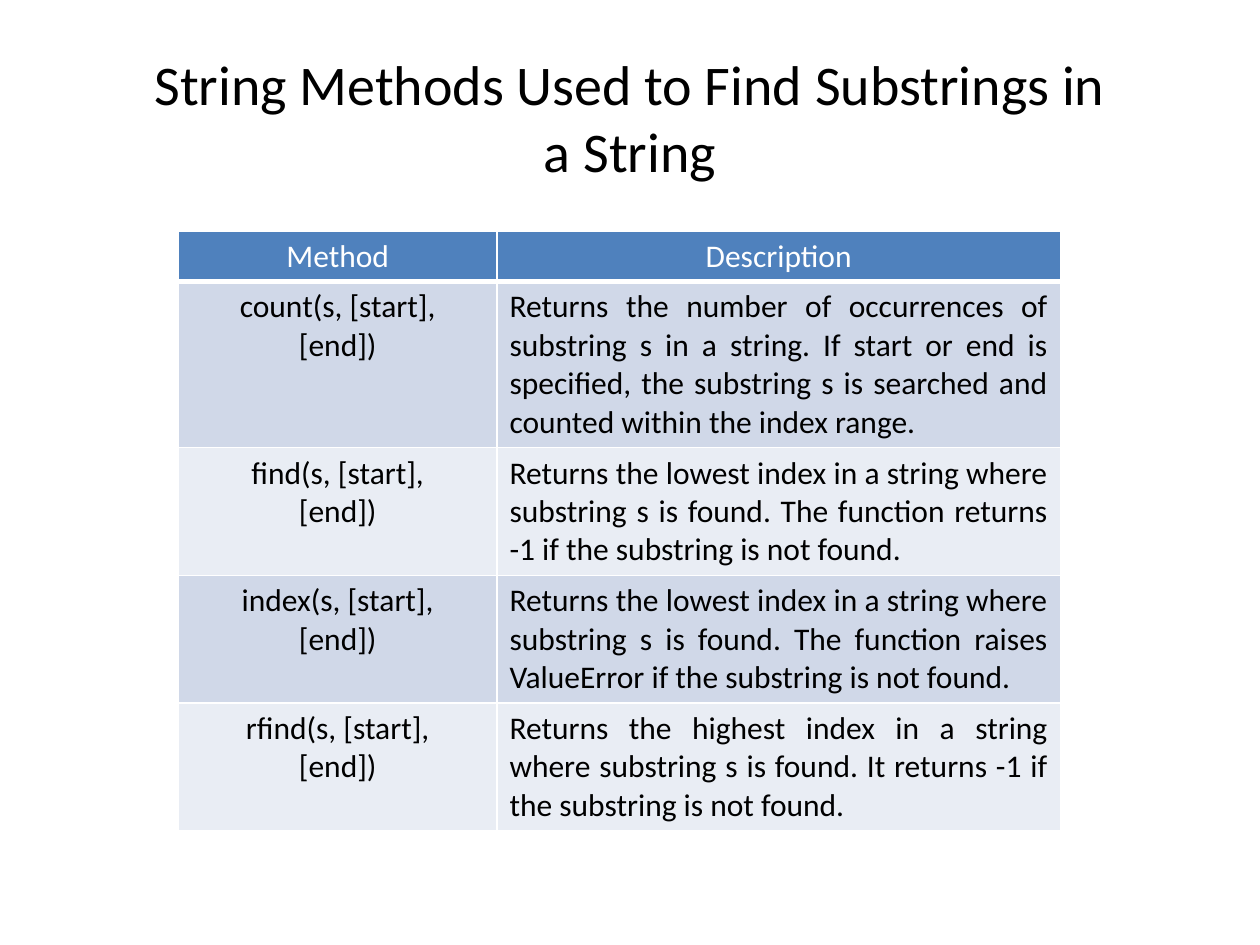
import dataclasses

import lxml.etree
import pptx
import pptx.dml.color
import pptx.enum.text
import pptx.oxml.ns
import pptx.util

Pt = pptx.util.Pt
Align = pptx.enum.text.PP_ALIGN


@dataclasses.dataclass(frozen=True)
class Theme:
    """Colours and type sizes of the page."""
    font: str = "Calibri"
    title_size: int = 32
    table_size: int = 18
    ink: str = "000000"
    paper: str = "FFFFFF"
    header: str = "4F81BD"
    bands: tuple = ("D0D8E8", "E9EDF4")
    rule: float = 1
    header_rule: float = 3


THEME = Theme()
TITLE = ("String Methods Used to Find Substrings in", "a String")
HEADINGS = ("Method", "Description")
METHODS = (
    ("count", "Returns the number of occurrences of substring s in a string. If start or end is "
              "specified, the substring s is searched and counted within the index range."),
    ("find", "Returns the lowest index in a string where substring s is found. "
             "The function returns -1 if the substring is not found."),
    ("index", "Returns the lowest index in a string where substring s is found. "
              "The function raises ValueError if the substring is not found."),
    ("rfind", "Returns the highest index in a string where substring s is found. "
              "It returns -1 if the substring is not found."),
)
COLUMN_WIDTHS = (182, 322)
ROW_HEIGHTS = (28.8, 95, 73, 73, 73)


def rgb(value):
    """Return a colour object for a hex value."""
    return pptx.dml.color.RGBColor.from_string(value)


def style_paragraph(para, size, colour, align):
    """Set the font and alignment of a paragraph."""
    para.alignment = align
    para.font.name = THEME.font
    para.font.size = Pt(size)
    para.font.bold = False
    para.font.color.rgb = rgb(colour)


def add_borders(cell, bottom):
    """Rule all four sides of a cell, with its own bottom width."""
    properties = cell._tc.get_or_add_tcPr()
    qn = pptx.oxml.ns.qn
    for side in "LRTB":
        width = bottom if side == "B" else THEME.rule
        line = lxml.etree.SubElement(properties, qn(f"a:ln{side}"), w=str(Pt(width)))
        fill = lxml.etree.SubElement(line, qn("a:solidFill"))
        lxml.etree.SubElement(fill, qn("a:srgbClr"), val=THEME.paper)


def fill_cell(cell, text, fill, colour, align, bottom):
    """Write and style one table cell."""
    add_borders(cell, bottom)
    cell.fill.solid()
    cell.fill.fore_color.rgb = rgb(fill)
    cell.text_frame.text = text
    for para in cell.text_frame.paragraphs:
        style_paragraph(para, THEME.table_size, colour, align)


def add_title(page, left, top, width, height):
    """Place the two-line title, centred in its box."""
    box = page.shapes.add_textbox(Pt(left), Pt(top), Pt(width), Pt(height))
    frame = box.text_frame
    frame.word_wrap = True
    frame.vertical_anchor = pptx.enum.text.MSO_ANCHOR.MIDDLE
    para = frame.paragraphs[0]
    para.text = "\v".join(TITLE)
    style_paragraph(para, THEME.title_size, THEME.ink, Align.CENTER)


def add_method_table(page, left, top, width, height):
    """Place the table of methods and their descriptions."""
    shape = page.shapes.add_table(len(METHODS) + 1, len(HEADINGS),
                                  Pt(left), Pt(top), Pt(width), Pt(height))
    table = shape.table
    for column, size in zip(table.columns, COLUMN_WIDTHS):
        column.width = Pt(size)
    for row, size in zip(table.rows, ROW_HEIGHTS):
        row.height = Pt(size)
    for index, heading in enumerate(HEADINGS):
        fill_cell(table.cell(0, index), heading, THEME.header, THEME.paper,
                  Align.CENTER, THEME.header_rule)
    for index, (name, description) in enumerate(METHODS):
        band = THEME.bands[index % len(THEME.bands)]
        signature = f"{name}(s, [start],\n[end])"
        for column, (text, align) in enumerate(((signature, Align.CENTER),
                                                (description, Align.JUSTIFY))):
            fill_cell(table.cell(index + 1, column), text, band, THEME.ink, align, THEME.rule)


def main():
    """Build the deck and save it."""
    deck = pptx.Presentation()
    deck.slide_width, deck.slide_height = Pt(720), Pt(540)
    page = deck.slides.add_slide(deck.slide_layouts[6])
    page.background.fill.solid()
    page.background.fill.fore_color.rgb = rgb(THEME.paper)
    add_title(page, 36, 21.6, 648, 90)
    add_method_table(page, 102, 132, sum(COLUMN_WIDTHS), sum(ROW_HEIGHTS))
    deck.save("out.pptx")


if __name__ == "__main__":
    main()
